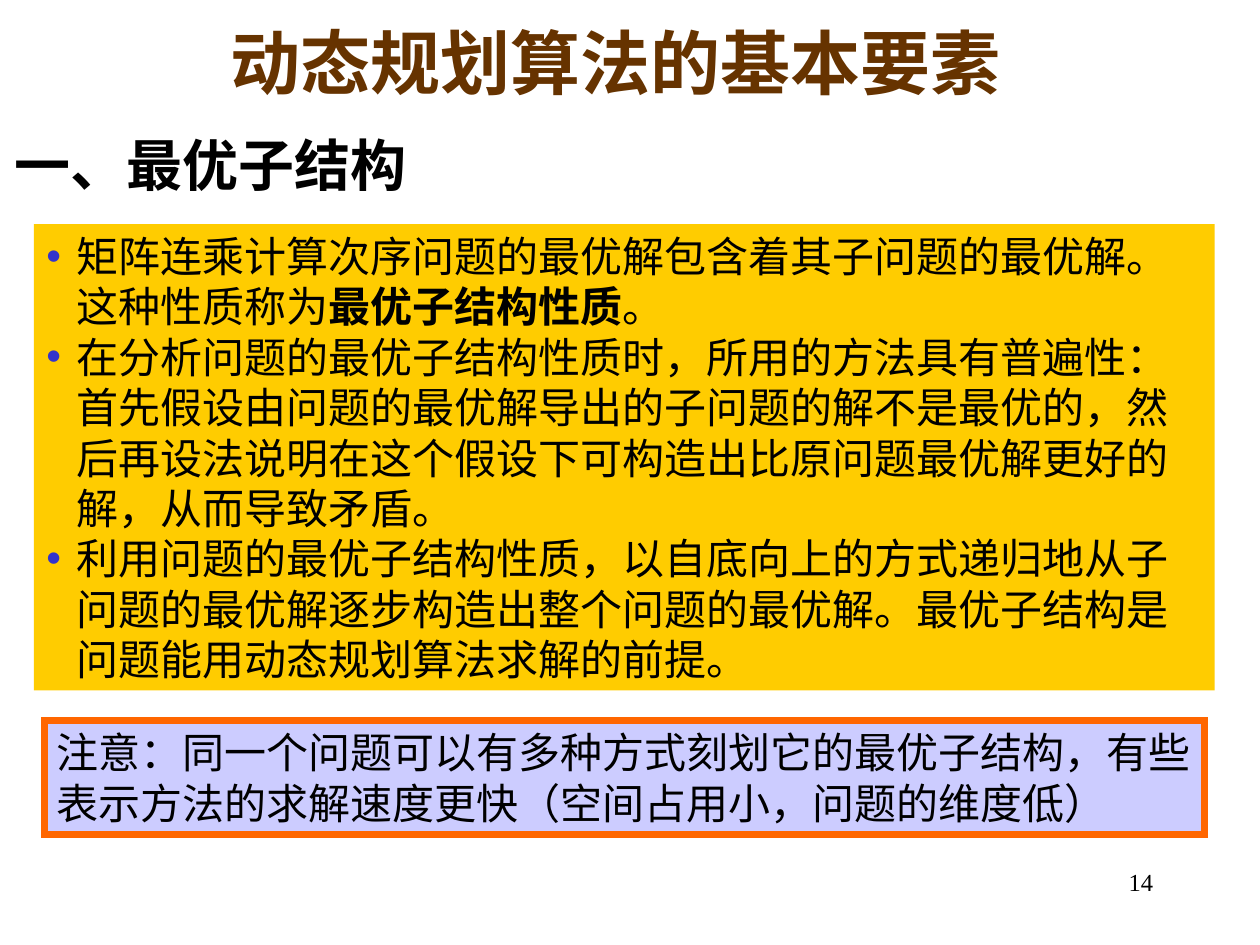
from dataclasses import dataclass
from typing import Optional

from lxml import etree
from pptx import Presentation
from pptx.dml.color import RGBColor
from pptx.enum import shapes, text
from pptx.oxml.ns import qn
from pptx.util import Inches, Pt


@dataclass(frozen=True)
class Theme:
    black: str = "000000"
    brown: str = "663300"
    yellow: str = "FFCC00"
    lavender: str = "CCCCFF"
    orange: str = "FF6600"
    bullet: str = "3333CC"
    sans: str = "Arial"
    serif: str = "Times New Roman"
    title: int = 40
    heading: int = 32
    body: int = 24
    number: int = 14
    border: int = 4
    hanging: float = 0.24


@dataclass(frozen=True)
class Box:
    left: float
    top: float
    width: float
    height: float
    fill: Optional[str] = None
    line: Optional[str] = None


@dataclass(frozen=True)
class Run:
    text: str
    bold: bool = False


THEME = Theme()

POINTS = [
    [Run("矩阵连乘计算次序问题的最优解包含着其子问题的最优解。这种性质称为"),
     Run("最优子结构性质", bold=True), Run("。")],
    [Run("在分析问题的最优子结构性质时，所用的方法具有普遍性：首先假设由问题的最优解导出的"
         "子问题的解不是最优的，然后再设法说明在这个假设下可构造出比原问题最优解更好的解，"
         "从而导致矛盾。")],
    [Run("利用问题的最优子结构性质，以自底向上的方式递归地从子问题的最优解逐步构造出整个问题"
         "的最优解。最优子结构是问题能用动态规划算法求解的前提。")],
]
NOTE = "注意：同一个问题可以有多种方式刻划它的最优子结构，有些表示方法的求解速度更快（空间占用小，问题的维度低）"


def add_box(slide, box: Box):
    """Add a text box, or a rectangle when the box has a fill."""
    place = [Inches(v) for v in (box.left, box.top, box.width, box.height)]
    if box.fill is None:
        return slide.shapes.add_textbox(*place)
    shape = slide.shapes.add_shape(shapes.MSO_SHAPE.RECTANGLE, *place)
    shape.shadow.inherit = False
    shape.fill.solid()
    shape.fill.fore_color.rgb = RGBColor.from_string(box.fill)
    if box.line:
        shape.line.color.rgb = RGBColor.from_string(box.line)
        shape.line.width = Pt(THEME.border)
        # Square corners
        etree.SubElement(shape.line._get_or_add_ln(), qn("a:miter"), lim="800000")
    else:
        shape.line.fill.background()
    return shape


def add_bullet(paragraph) -> None:
    """Give a paragraph a coloured bullet and a hanging indent."""
    properties = paragraph._p.get_or_add_pPr()
    properties.set("marL", str(Inches(THEME.hanging)))
    properties.set("indent", str(-Inches(THEME.hanging)))
    color = etree.SubElement(properties, qn("a:buClr"))
    etree.SubElement(color, qn("a:srgbClr"), val=THEME.bullet)
    etree.SubElement(properties, qn("a:buFont"), typeface=THEME.sans)
    etree.SubElement(properties, qn("a:buChar"), char="•")


def write(shape, paragraphs: list[list[Run]], *, size: int, font: str = THEME.sans,
          color: str = THEME.black, align=text.PP_ALIGN.LEFT,
          anchor=text.MSO_ANCHOR.TOP, wrap: bool = True, grow: bool = False,
          bullets: bool = False) -> None:
    """Fill a shape with formatted paragraphs."""
    frame = shape.text_frame
    frame.word_wrap = wrap
    frame.vertical_anchor = anchor
    frame.auto_size = (text.MSO_AUTO_SIZE.SHAPE_TO_FIT_TEXT if grow
                       else text.MSO_AUTO_SIZE.NONE)
    for index, runs in enumerate(paragraphs):
        paragraph = frame.add_paragraph() if index else frame.paragraphs[0]
        paragraph.alignment = align
        if bullets:
            add_bullet(paragraph)
        for item in runs:
            run = paragraph.add_run()
            run.text = item.text
            run.font.size = Pt(size)
            run.font.name = font
            run.font.bold = item.bold
            run.font.color.rgb = RGBColor.from_string(color)


def main() -> None:
    presentation = Presentation()
    presentation.slide_width = Inches(10)
    presentation.slide_height = Inches(7.5)
    slide = presentation.slides.add_slide(presentation.slide_layouts[6])

    # Slide number
    write(add_box(slide, Box(7.17, 6.83, 2.08, 0.5)), [[Run("14")]],
          size=THEME.number, font=THEME.serif, align=text.PP_ALIGN.RIGHT)

    # Title and section heading
    write(add_box(slide, Box(1.38, 0, 7.01, 0.87)),
          [[Run("动态规划算法的基本要素", bold=True)]],
          size=THEME.title, font=THEME.serif, color=THEME.brown,
          align=text.PP_ALIGN.CENTER, anchor=text.MSO_ANCHOR.BOTTOM)
    write(add_box(slide, Box(0, 0.99, 3.34, 0.64)),
          [[Run("一、最优子结构", bold=True)]], size=THEME.heading,
          align=text.PP_ALIGN.CENTER, wrap=False, grow=True)

    # Main points
    write(add_box(slide, Box(0.27, 1.78, 9.37, 3.7, fill=THEME.yellow)), POINTS,
          size=THEME.body, grow=True, bullets=True)

    # Note
    write(add_box(slide, Box(0.35, 5.72, 9.21, 0.9, THEME.lavender, THEME.orange)),
          [[Run(NOTE)]], size=THEME.body, grow=True)

    presentation.save("out.pptx")


if __name__ == "__main__":
    main()
